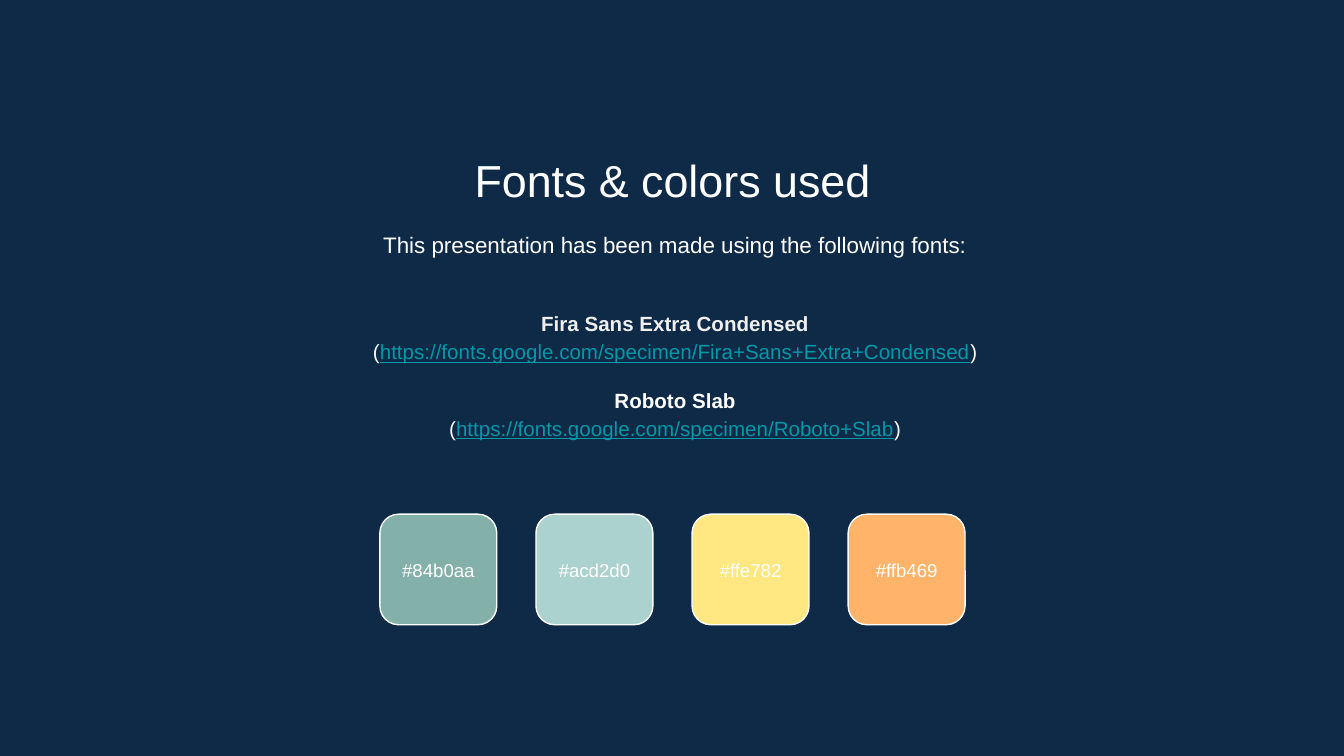
from pptx import Presentation
from pptx.dml.color import RGBColor
from pptx.enum.shapes import MSO_SHAPE
from pptx.enum.text import MSO_ANCHOR, PP_ALIGN
from pptx.util import Cm, Pt

ROUND = MSO_SHAPE.ROUNDED_RECTANGLE
CENTER = PP_ALIGN.CENTER
TOP, MIDDLE = MSO_ANCHOR.TOP, MSO_ANCHOR.MIDDLE

NAVY, WHITE, PALE, TEAL = "0E2A47", "FFFFFF", "EFEFEF", "0097A7"
SWATCHES = ["84b0aa", "acd2d0", "ffe782", "ffb469"]
FONTS = [
    ("Fira Sans Extra Condensed", PALE,
     "https://fonts.google.com/specimen/Fira+Sans+Extra+Condensed"),
    ("Roboto Slab", WHITE, "https://fonts.google.com/specimen/Roboto+Slab"),
]


def color(code):
    return RGBColor.from_string(code.upper())


class Deck:
    font = "Arial"
    inset = Cm(0.25)

    def __init__(self, slide):
        self.slide = slide
        fill = slide.background.fill
        fill.solid()
        fill.fore_color.rgb = color(NAVY)

    def style(self, run, size, tint=WHITE, bold=False, line=False):
        font = run.font
        font.name, font.size = self.font, Pt(size)
        font.bold, font.underline = bold, line
        font.color.rgb = color(tint)

    def frame(self, x, y, w, h, anchor):
        """Add an empty text box and return its text frame."""
        frame = self.slide.shapes.add_textbox(Cm(x), Cm(y), Cm(w), Cm(h)).text_frame
        frame.word_wrap = True
        frame.vertical_anchor = anchor
        frame.margin_left = frame.margin_right = self.inset
        frame.margin_top = frame.margin_bottom = self.inset
        return frame

    def text(self, words, x, y, w, h, size, anchor=TOP, space=1.0):
        frame = self.frame(x, y, w, h, anchor)
        frame.text = words
        para = frame.paragraphs[0]
        para.alignment, para.line_spacing = CENTER, space
        self.style(para.runs[0], size)

    def fonts(self, items, x, y, w, h, size):
        """List each font name in bold above its web address."""
        frame = self.frame(x, y, w, h, MIDDLE)
        for i, (name, tint, link) in enumerate(items):
            head = frame.add_paragraph() if i else frame.paragraphs[0]
            head.text = name
            if i:
                head.space_before = Pt(10.6)
            self.style(head.runs[0], size, tint, bold=True)
            site = frame.add_paragraph()
            for part in ("(", link, ")"):
                run = site.add_run()
                run.text = part
                is_link = part == link
                self.style(run, size, TEAL if is_link else WHITE, line=is_link)
        for para in frame.paragraphs:
            para.alignment, para.line_spacing = CENTER, 1.15

    def swatch(self, code, x, y, w, h):
        box = self.slide.shapes.add_shape(ROUND, Cm(x), Cm(y), Cm(w), Cm(h))
        box.adjustments[0] = 0.17
        box.shadow.inherit = False
        box.fill.solid()
        box.fill.fore_color.rgb = color(code)
        box.line.color.rgb = color(WHITE)
        box.line.width = Pt(0.75)


def main():
    show = Presentation()
    show.slide_width, show.slide_height = Cm(25.4), Cm(14.29)
    deck = Deck(show.slides.add_slide(show.slide_layouts[6]))

    deck.text("Fonts & colors used", 2.92, 2.64, 19.58, 1.35, 24)
    deck.text("This presentation has been made using the following fonts:",
              2.97, 4.04, 19.58, 1.22, 12, space=1.15)
    deck.fonts(FONTS, 2.97, 5.33, 19.58, 3.48, 11)

    left, step, wide = 7.18, 2.95, 2.21
    for i, code in enumerate(SWATCHES):
        x = left + i * step
        deck.swatch(code, x, 9.72, wide, 2.09)
        deck.text("#" + code, x, 10.16, wide, 1.22, 10, MIDDLE)

    show.save("out.pptx")


if __name__ == "__main__":
    main()
